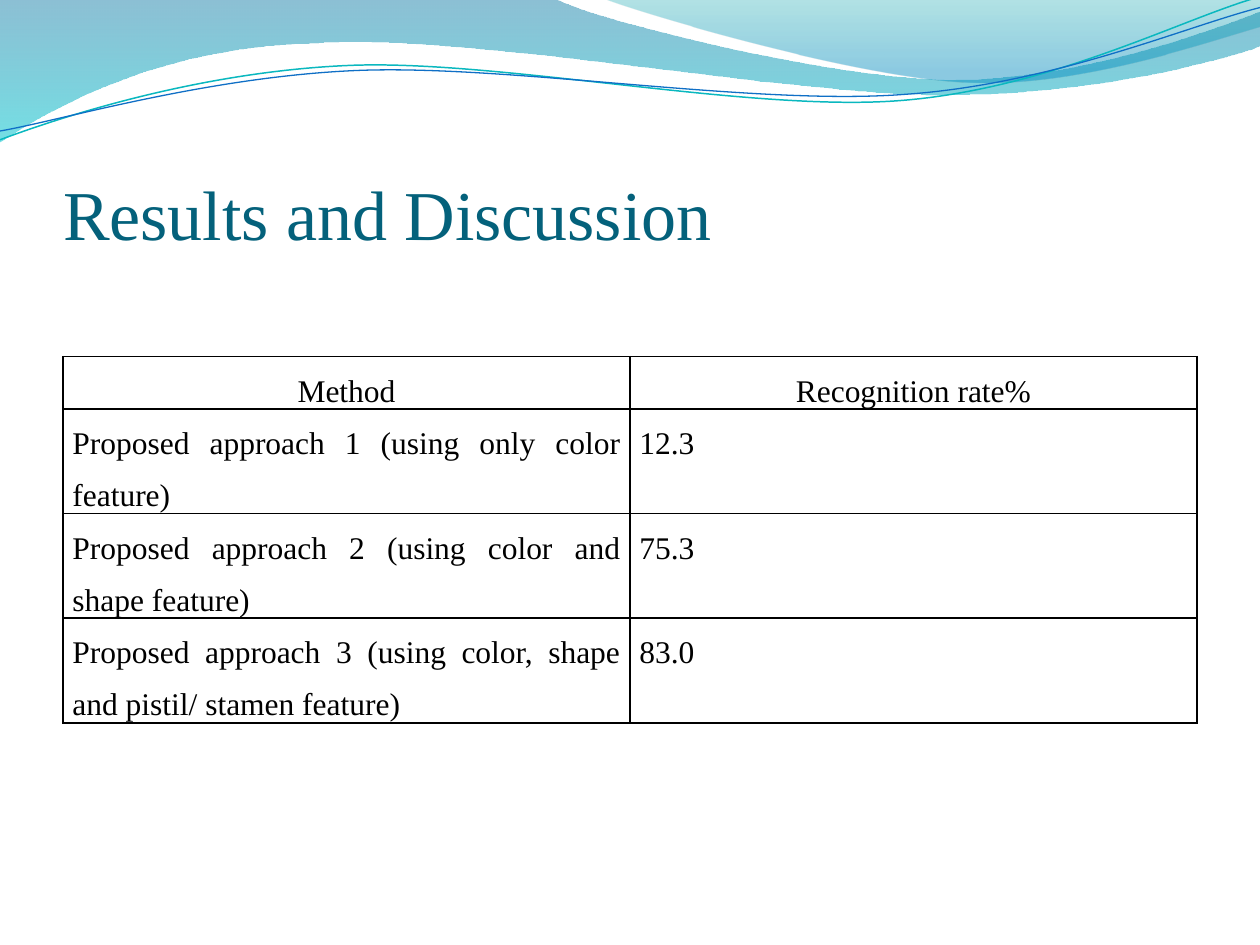
from lxml.etree import Element, SubElement
from pptx import Presentation
from pptx.dml.color import RGBColor
from pptx.enum.text import MSO_ANCHOR, PP_ALIGN
from pptx.oxml.ns import qn
from pptx.util import Inches, Pt

FONT = "Times New Roman"
TITLE_COLOR = RGBColor(0x04, 0x61, 0x7B)
BLACK = RGBColor(0, 0, 0)
BLUE = RGBColor(0x00, 0x74, 0xA1)
CYAN = RGBColor(0x00, 0xC6, 0xCF)
TEAL = RGBColor(0x00, 0xA1, 0xA9)
SKY = RGBColor(0x00, 0x8B, 0xBF)
TEAL_LINE = RGBColor(0x0A, 0xB8, 0xBF)
BLUE_LINE = RGBColor(0x0F, 0x6F, 0xC6)

# Content
TITLE = "Results and Discussion"
RESULTS = [
    ("Method", "Recognition rate%"),
    ("Proposed approach 1 (using only color feature)", "12.3"),
    ("Proposed approach 2 (using color and shape feature)", "75.3"),
    ("Proposed approach 3 (using color, shape and pistil/ stamen feature)", "83.0"),
]
# Rows grow to fit their text
HEADER_HEIGHT, ROW_HEIGHT, COLUMN_WIDTH = 0, 0.74, 4.5

# Waves: a start point, then steps of one point (line) or three points (Bezier curve)
BANDS = [
    {"start": (0, 0),
     "steps": [[(4.4, -0.01)],
               [(4.76, 0.17), (6.64, 0.63), (7.58, 0.63)],
               [(8.53, 0.63), (9.58, 0.26), (10, 0.09)],
               [(10.01, 0.36)],
               [(9.83, 0.44), (8.7, 0.76), (7.46, 0.75)],
               [(6.22, 0.75), (3.82, 0.28), (2.57, 0.34)],
               [(1.29, 0.36), (0.46, 0.83), (-0.01, 1.13)]],
     "stops": [(0, BLUE, 45), (1, CYAN, 55)]},
    {"start": (4.79, -0.01),
     "steps": [[(5.09, 0.11), (6.82, 0.62), (7.69, 0.65)],
               [(8.56, 0.69), (9.61, 0.32), (10, 0.21)],
               [(10, 0)]],
     "stops": [(0, TEAL, 30), (0.8, SKY, 45)]},
]
STRANDS = [
    {"start": (0, 1.11),
     "steps": [[(0.48, 0.93), (1.58, 0.57), (2.77, 0.52)],
               [(3.95, 0.47), (5.93, 0.89), (7.13, 0.8)],
               [(8.33, 0.71), (9.38, 0.15), (9.98, -0.02)]],
     "color": TEAL_LINE, "width": 0.85},
    {"start": (0, 1.04),
     "steps": [[(0.47, 0.96), (1.64, 0.61), (2.83, 0.56)],
               [(4.03, 0.51), (5.97, 0.84), (7.17, 0.75)],
               [(8.36, 0.67), (9.41, 0.21), (10, 0.06)]],
     "color": BLUE_LINE, "width": 0.75},
]


def add_wave(slide, wave, close):
    """Freeform through all points, its three-point steps turned into curves."""
    builder = slide.shapes.build_freeform(*map(Inches, wave["start"]))
    builder.add_line_segments(
        [(Inches(x), Inches(y)) for step in wave["steps"] for x, y in step], close=close)
    shape = builder.convert_to_shape()
    shape.shadow.inherit = False
    segments = iter(shape.element.findall(".//" + qn("a:lnTo")))
    for step in wave["steps"]:
        parts = [next(segments) for _ in step]
        if len(parts) == 3:
            curve = Element(qn("a:cubicBezTo"))
            parts[0].addprevious(curve)
            for part in parts:
                curve.append(part[0])
                part.getparent().remove(part)
    return shape


def set_format(target, values):
    for name, value in values.items():
        setattr(target, name, value)


def add_borders(cell):
    properties = cell._tc.get_or_add_tcPr()
    for side in ("a:lnL", "a:lnR", "a:lnT", "a:lnB"):
        border = SubElement(properties, qn(side), w=str(Pt(1)))
        fill = SubElement(border, qn("a:solidFill"))
        SubElement(fill, qn("a:srgbClr"), val=str(BLACK))


def main():
    deck = Presentation()
    deck.slide_width, deck.slide_height = Inches(10), Inches(7.5)
    slide = deck.slides.add_slide(deck.slide_layouts[5])

    # Wave decoration
    for band in BANDS:
        shape = add_wave(slide, band, close=True)
        shape.line.fill.background()
        shape.fill.gradient()
        shape.fill.gradient_angle = 270
        for stop, (position, color, _) in zip(shape.fill.gradient_stops, band["stops"]):
            stop.position = position
            stop.color.rgb = color
        color_nodes = shape.element.spPr.findall(".//" + qn("a:srgbClr"))
        for color_node, (_, _, opacity) in zip(color_nodes, band["stops"]):
            SubElement(color_node, qn("a:alpha"), val=str(opacity * 1000))
    for strand in STRANDS:
        shape = add_wave(slide, strand, close=False)
        shape.fill.background()
        shape.line.color.rgb = strand["color"]
        shape.line.width = Pt(strand["width"])

    # Title, in front of the waves
    title = slide.shapes.title
    title.element.getparent().append(title.element)
    set_format(title, {"left": Inches(0.5), "top": Inches(0.77),
                       "width": Inches(9), "height": Inches(1.25)})
    set_format(title.text_frame, {
        "text": TITLE, "vertical_anchor": MSO_ANCHOR.BOTTOM, "word_wrap": True,
        "margin_left": 0, "margin_top": Inches(0.05), "margin_right": 0, "margin_bottom": 0})
    heading = title.text_frame.paragraphs[0]
    heading.alignment = PP_ALIGN.LEFT
    set_format(heading.font, {"name": FONT, "size": Pt(40)})
    heading.font.color.rgb = TITLE_COLOR

    # Results table
    heights = [HEADER_HEIGHT] + [ROW_HEIGHT] * (len(RESULTS) - 1)
    results_frame = slide.shapes.add_table(
        len(RESULTS), 2, Inches(0.5), Inches(2.83),
        Inches(2 * COLUMN_WIDTH), Inches(sum(heights)))
    table = results_frame.table
    set_format(table, {"first_row": False, "horz_banding": False})
    for column in table.columns:
        column.width = Inches(COLUMN_WIDTH)
    for row_number, (result, height) in enumerate(zip(RESULTS, heights)):
        table.rows[row_number].height = Inches(height)
        for column_number, text in enumerate(result):
            cell = table.cell(row_number, column_number)
            set_format(cell, {"text": text, "margin_left": Pt(5.4), "margin_top": 0,
                              "margin_right": Pt(5.4), "margin_bottom": 0})
            add_borders(cell)
            cell.fill.background()
            entry = cell.text_frame.paragraphs[0]
            set_format(entry, {
                "alignment": PP_ALIGN.JUSTIFY if row_number else PP_ALIGN.CENTER,
                "line_spacing": 1.5})
            set_format(entry.font, {"name": FONT, "size": Pt(18)})
            entry.font.color.rgb = BLACK
    results_frame.height = Inches(3.15)

    deck.save("out.pptx")


if __name__ == "__main__":
    main()
